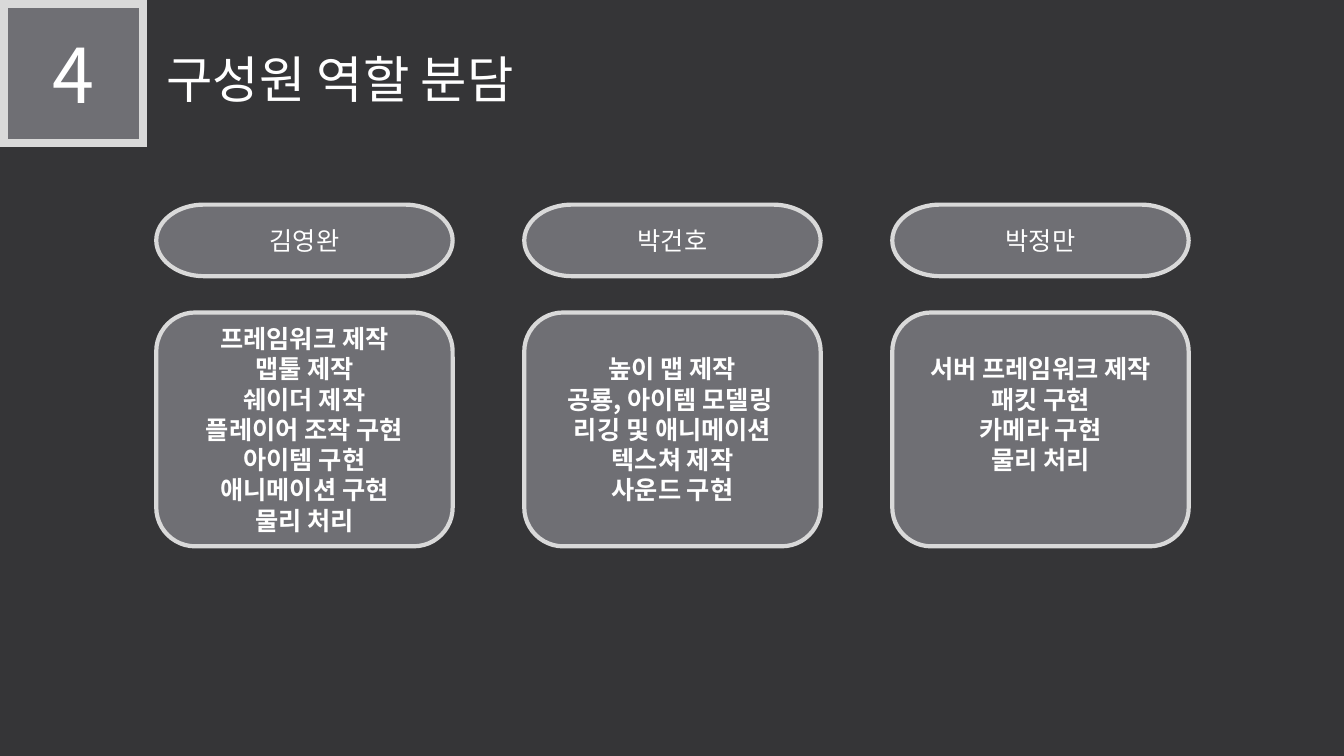
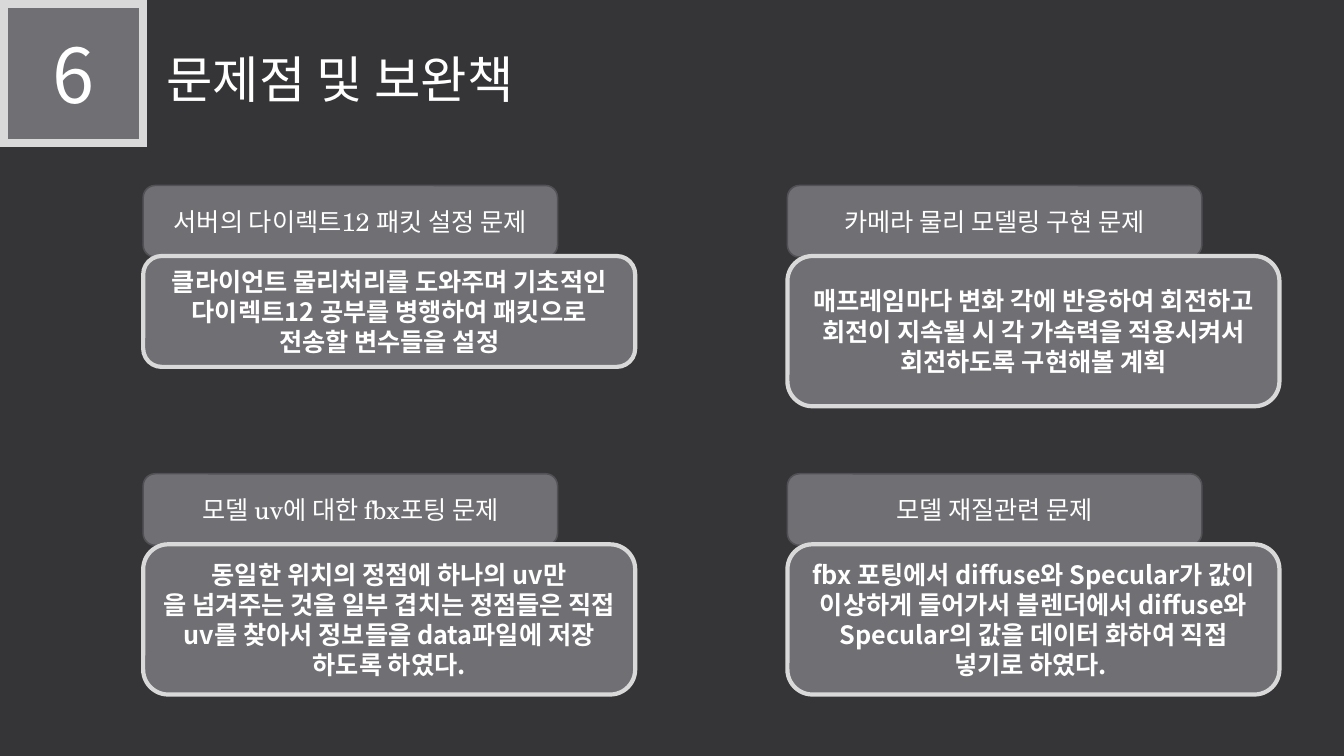
from dataclasses import dataclass

from lxml import etree
from pptx import Presentation
from pptx.dml.color import RGBColor
from pptx.enum.shapes import MSO_SHAPE
from pptx.enum.text import MSO_ANCHOR, MSO_AUTO_SIZE, PP_ALIGN
from pptx.oxml.ns import qn
from pptx.util import Inches, Pt

RECT = MSO_SHAPE.RECTANGLE
ROUND = MSO_SHAPE.ROUNDED_RECTANGLE
PILL = MSO_SHAPE.FLOWCHART_TERMINATOR
LEFT, CENTER = PP_ALIGN.LEFT, PP_ALIGN.CENTER
TOP, MIDDLE = MSO_ANCHOR.TOP, MSO_ANCHOR.MIDDLE
NO_FIT = MSO_AUTO_SIZE.NONE
TITLE_ONLY = 5


@dataclass(frozen=True)
class Theme:
    back: RGBColor = RGBColor(0x35, 0x35, 0x37)
    fill: RGBColor = RGBColor(0x6F, 0x6F, 0x74)
    frame: RGBColor = RGBColor(0xD9, 0xD9, 0xD9)
    edge: RGBColor = RGBColor(0x52, 0x52, 0x56)
    ink: RGBColor = RGBColor(0xFF, 0xFF, 0xFF)
    sans: str = "Noto Sans CJK KR"
    serif: str = "TeX Gyre Schola"
    number: int = 54
    title: int = 36
    body: int = 18


class Deck:
    def __init__(self, theme):
        self.theme = theme
        self.prs = Presentation()
        self.prs.slide_width, self.prs.slide_height = Inches(13.33), Inches(7.5)
        fill = self.prs.slide_master.background.fill
        fill.solid()
        fill.fore_color.rgb = theme.back
        self.slide = None

    def label(self, shape, text, size, font, bold=False, align=CENTER):
        frame = shape.text_frame
        frame.text = text
        for par in frame.paragraphs:
            par.alignment = align
            for run in par.runs:
                run.font.size, run.font.bold = Pt(size), bold
                run.font.color.rgb = self.theme.ink
                run.font.name = font
                # Hangul takes its font from the East Asian slot
                props = run.font._element
                etree.SubElement(props, qn("a:ea"), typeface=self.theme.sans)

    def shape(self, kind, left, top, width, height, line, weight):
        box = self.slide.shapes.add_shape(
            kind, Inches(left), Inches(top), Inches(width), Inches(height))
        box.shadow.inherit = False
        box.fill.solid()
        box.fill.fore_color.rgb = self.theme.fill
        box.line.color.rgb = line
        box.line.width = Pt(weight)
        outline = box.element.spPr.find(qn("a:ln"))
        etree.SubElement(outline, qn("a:miter"), lim="800000")
        box.text_frame.vertical_anchor = MIDDLE
        return box

    def page(self, number, text):
        """Start a slide with its number badge and title."""
        look = self.theme
        self.slide = self.prs.slides.add_slide(self.prs.slide_layouts[TITLE_ONLY])
        title = self.slide.shapes.title
        title.left, title.top = Inches(1.55), Inches(0.43)
        title.width, title.height = Inches(7.66), Inches(0.71)
        title.text_frame.auto_size = NO_FIT
        title.text_frame.vertical_anchor = TOP
        self.label(title, text, look.title, look.sans, align=LEFT)
        badge = self.shape(RECT, 0.04, 0.04, 1.38, 1.38, look.frame, 6)
        self.label(badge, number, look.number, look.sans)

    def name(self, text, left, top, width):
        look = self.theme
        pill = self.shape(PILL, left, top, width, 0.71, look.frame, 3)
        self.label(pill, text, look.body, look.serif)

    def tab(self, text, left, top, width):
        look = self.theme
        tab = self.shape(ROUND, left, top, width, 0.71, look.edge, 1.1)
        self.label(tab, text, look.body, look.serif)

    def card(self, text, left, top, width, height, lift=0):
        """Add a bold text card; lift is extra room kept below the text."""
        look = self.theme
        card = self.shape(ROUND, left, top, width, height, look.frame, 3)
        card.text_frame.margin_bottom = Inches(0.05 + lift)
        self.label(card, text, look.body, look.sans, bold=True)


ROLES = [
    ("김영완", ["프레임워크 제작", "맵툴 제작", "쉐이더 제작", "플레이어 조작 구현",
             "아이템 구현", "애니메이션 구현", "물리 처리"], 0),
    ("박건호", ["높이 맵 제작", "공룡, 아이템 모델링 ", "리깅 및 애니메이션",
             "텍스쳐 제작", "사운드 구현"], 0),
    ("박정만", ["서버 프레임워크 제작", "패킷 구현", "카메라 구현", "물리 처리"], 0.3),
]

# Row by row: problem, remedy, height of the remedy card
ISSUES = [
    ("서버의 다이렉트12 패킷 설정 문제",
     "클라이언트 물리처리를 도와주며 기초적인 다이렉트12 공부를 병행하여 "
     "패킷으로 전송할 변수들을 설정", 1.1),
    ("카메라 물리 모델링 구현 문제",
     "매프레임마다 변화 각에 반응하여 회전하고 회전이 지속될 시 각 가속력을 "
     "적용시켜서 회전하도록 구현해볼 계획", 1.49),
    ("모델 uv에 대한 fbx포팅 문제",
     "동일한 위치의 정점에 하나의 uv만\n을 넘겨주는 것을 일부 겹치는 정점들은 "
     "직접 uv를 찾아서 정보들을 data파일에 저장 하도록 하였다.", 1.49),
    ("모델 재질관련 문제",
     "fbx 포팅에서 diffuse와 Specular가 값이 이상하게 들어가서 블렌더에서 "
     "diffuse와 Specular의 값을 데이터 화하여 직접 넣기로 하였다. ", 1.49),
]


def main():
    deck = Deck(Theme())

    deck.page("4", "구성원 역할 분담")
    for col, (name, tasks, lift) in enumerate(ROLES):
        left = 1.55 + 3.65 * col
        deck.name(name, left, 2.03, 2.94)
        deck.card("\n".join(tasks), left, 3.1, 2.94, 2.32, lift)

    deck.page("6", "문제점 및 보완책")
    for spot, (issue, remedy, height) in enumerate(ISSUES):
        row, col = divmod(spot, 2)
        left, top = 1.42 + 6.39 * col, 1.84 + 2.86 * row
        deck.tab(issue, left, top, 4.11)
        deck.card(remedy, left, top + 0.7, 4.88, height)

    deck.prs.save("out.pptx")


if __name__ == "__main__":
    main()
